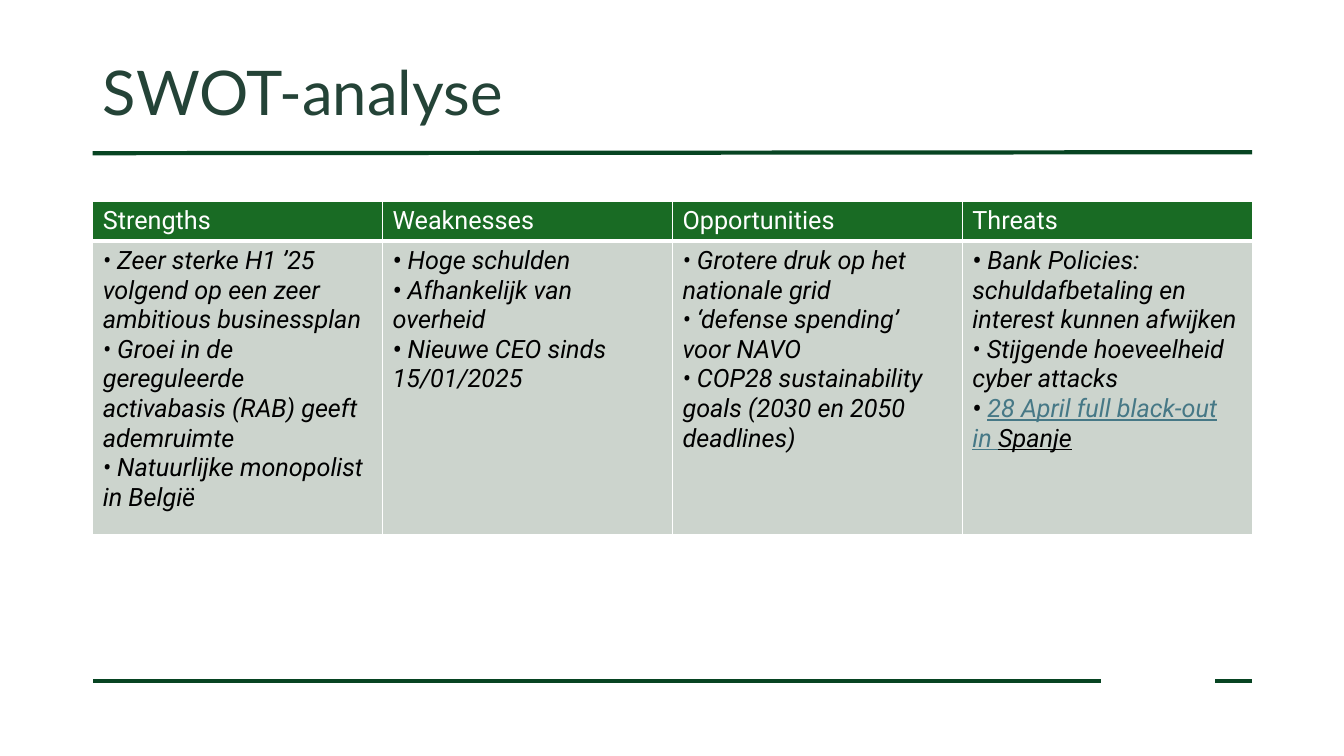
from dataclasses import dataclass

from lxml.etree import SubElement
from pptx import Presentation
from pptx.dml.color import RGBColor
from pptx.enum.text import MSO_ANCHOR, PP_ALIGN
from pptx.enum.shapes import MSO_CONNECTOR
from pptx.oxml import parse_xml
from pptx.oxml.ns import nsdecls, qn
from pptx.util import Inches, Pt


@dataclass(frozen=True)
class Theme:
    title_font: str = "Lato"
    body_font: str = "Roboto"
    title_size: int = 44
    body_size: int = 18
    title: str = "244337"
    rule: str = "074422"
    header: str = "196B24"
    body: str = "CCD4CD"
    light: str = "FFFFFF"
    dark: str = "000000"
    link: str = "467886"


@dataclass(frozen=True)
class Point:
    """One bullet; link is underlined text, and tail is underlined text in the dark colour."""
    text: str = ""
    bold_bullet: bool = False
    link: str = ""
    tail: str = ""


THEME = Theme()

# Each column holds paragraphs, and each paragraph holds points on separate lines.
SWOT = {
    "Strengths": [[
        Point("Zeer sterke H1 ’25 volgend op een zeer ambitious businessplan"),
        Point("Groei in de gereguleerde activabasis (RAB) geeft ademruimte"),
        Point("Natuurlijke monopolist in België"),
    ]],
    "Weaknesses": [[
        Point("Hoge schulden", True),
        Point("Afhankelijk van overheid", True),
        Point("Nieuwe CEO sinds 15/01/2025", True),
    ]],
    "Opportunities": [[
        Point("Grotere druk op het nationale grid"),
        Point("‘defense spending’ voor NAVO"),
        Point("COP28 sustainability goals (2030 en 2050 deadlines)"),
    ]],
    "Threats": [
        [
            Point("Bank Policies: schuldafbetaling en interest kunnen afwijken", True),
            Point("Stijgende hoeveelheid cyber attacks"),
        ],
        [Point(bold_bullet=True, link="28 April full black-out in ", tail="Spanje")],
    ],
}


def add_span(para, text, color, size=THEME.body_size, font=THEME.body_font,
             bold=False, italic=False, underline=False):
    span = para.add_run()
    span.text = text
    span.font.name = font
    span.font.size = Pt(size)
    span.font.color.rgb = RGBColor.from_string(color)
    span.font.bold = bold
    span.font.italic = italic
    span.font.underline = underline


def add_rule(page, start, end):
    rule = page.shapes.add_connector(
        MSO_CONNECTOR.STRAIGHT, *(Inches(value) for value in start + end))
    rule.line.color.rgb = RGBColor.from_string(THEME.rule)
    rule.line.width = Pt(3)
    SubElement(rule._element.spPr, qn("a:effectLst"))


def add_title(page, text, left, top, width, height):
    title = page.shapes.title
    title.left, title.top = Inches(left), Inches(top)
    title.width, title.height = Inches(width), Inches(height)
    frame = title.text_frame
    frame.word_wrap = True
    frame.vertical_anchor = MSO_ANCHOR.MIDDLE
    para = frame.paragraphs[0]
    para.alignment = PP_ALIGN.LEFT
    para.line_spacing = 0.9
    add_span(para, text, THEME.title, THEME.title_size, THEME.title_font)


def style_cell(cell, fill, bottom_width):
    cell.fill.solid()
    cell.fill.fore_color.rgb = RGBColor.from_string(fill)
    properties = cell._tc.get_or_add_tcPr()
    widths = {"lnL": 1, "lnR": 1, "lnT": 1, "lnB": bottom_width}
    for index, (side, width) in enumerate(widths.items()):
        properties.insert(index, parse_xml(
            f'<a:{side} {nsdecls("a")} w="{Pt(width)}"><a:solidFill>'
            f'<a:srgbClr val="{THEME.light}"/></a:solidFill></a:{side}>'))


def add_point(para, point):
    add_span(para, "• ", THEME.dark, bold=point.bold_bullet, italic=True)
    if point.text:
        add_span(para, point.text, THEME.dark, italic=True)
    if point.link:
        add_span(para, point.link, THEME.link, italic=True, underline=True)
    if point.tail:
        add_span(para, point.tail, THEME.dark, italic=True, underline=True)


def fill_points(frame, paragraphs):
    for number, points in enumerate(paragraphs):
        para = frame.add_paragraph() if number else frame.paragraphs[0]
        for index, point in enumerate(points):
            if index:
                para.add_line_break()
            add_point(para, point)


def add_swot_table(page, columns, left, top, width, row_heights):
    table = page.shapes.add_table(
        len(row_heights), len(columns), Inches(left), Inches(top),
        Inches(width), Inches(sum(row_heights))).table
    for row, height in zip(table.rows, row_heights):
        row.height = Inches(height)
    for index, (heading, paragraphs) in enumerate(columns.items()):
        table.columns[index].width = Inches(width / len(columns))
        header, body = table.cell(0, index), table.cell(1, index)
        style_cell(header, THEME.header, 3)
        add_span(header.text_frame.paragraphs[0], heading, THEME.light)
        style_cell(body, THEME.body, 1)
        # The header's thick edge is shared with the top of the body cell.
        body._tc.tcPr.find(qn("a:lnT")).set("w", str(Pt(3)))
        fill_points(body.text_frame, paragraphs)


def add_swot_page(deck):
    page = deck.slides.add_slide(deck.slide_layouts.get_by_name("Title Only"))
    left, width = 0.92, 11.5
    right = left + width
    add_rule(page, (right, 1.51), (left, 1.52))
    add_rule(page, (10.92, 6.76), (left, 6.76))
    add_rule(page, (right, 6.76), (12.05, 6.76))
    add_title(page, "SWOT-analyse", left, 0.4, width, 1.1)
    add_swot_table(page, SWOT, left, 2, width, (0.38, 2.91))


def main():
    deck = Presentation()
    deck.slide_width, deck.slide_height = Inches(13.33), Inches(7.5)
    add_swot_page(deck)
    deck.save("out.pptx")


if __name__ == "__main__":
    main()
